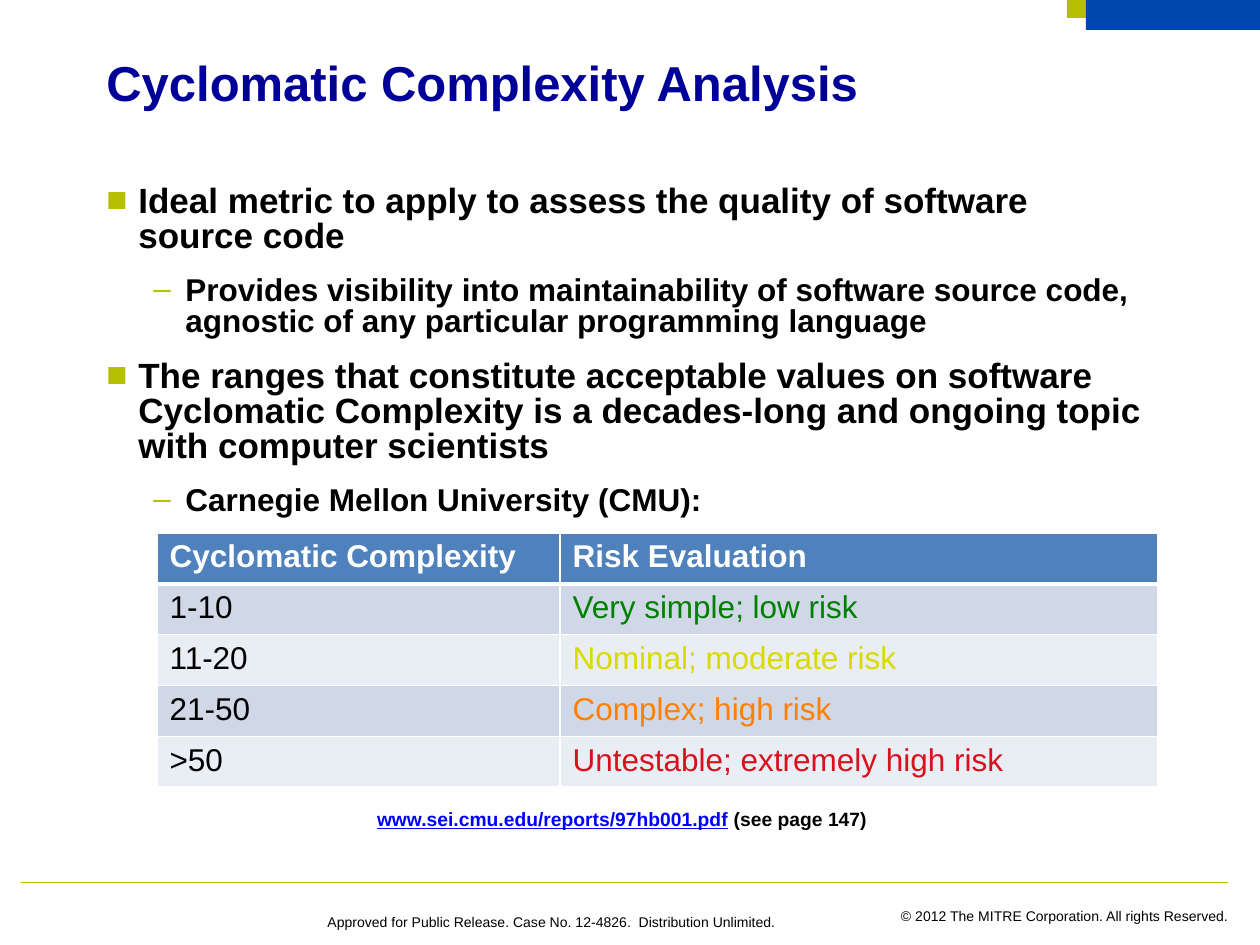
from lxml import etree
from pptx import Presentation
from pptx import util as u
from pptx.dml.color import RGBColor
from pptx.enum import shapes, text
from pptx.oxml import ns

SCALE = 914400 / 126
LIME, BLACK, WHITE = "B6BF00", "000000", "FFFFFF"


def color(value):
    return RGBColor.from_string(value)


def write(paragraph, words, rgb, **formats):
    run = paragraph.add_run()
    run.text = words
    run.font.name = "Arial"
    run.font.color.rgb = color(rgb)
    for name, value in formats.items():
        setattr(run.font, name, value)


presentation = Presentation()
presentation.slide_width = round(1260 * SCALE)
presentation.slide_height = round(945 * SCALE)
slide = presentation.slides.add_slide(presentation.slide_layouts[6])

for left, width, height, fill in [(1067, 193, 18, LIME), (1086, 174, 30, "0046AD")]:
    shape = slide.shapes.add_shape(
        shapes.MSO_SHAPE.RECTANGLE, *[round(n * SCALE) for n in (left, 0, width, height)])
    shape.shadow.inherit = False
    shape.fill.solid()
    shape.fill.fore_color.rgb = color(fill)
    shape.line.fill.background()

rule = slide.shapes.add_connector(
    shapes.MSO_CONNECTOR.STRAIGHT, *[round(n * SCALE) for n in (21, 882, 1228, 882)])
rule.line.color.rgb = color(LIME)
rule.line.width = u.Pt(0.5)
etree.SubElement(rule.element.spPr, ns.qn("a:effectLst"))

frames = {}
for name, box, wrap in [
    ("copyright", (883, 901, 358, 30), False),
    ("release", (315, 901, 486, 35), True),
    ("title", (94, 53, 987, 73), True),
    ("body", (94, 179, 1061, 663), True),
    ("link", (363, 780, 518, 53), False),
]:
    textbox = slide.shapes.add_textbox(*[round(n * SCALE) for n in box])
    frames[name] = textbox.text_frame
    frames[name].word_wrap = wrap

LEFT, RIGHT, CENTER = text.PP_ALIGN.LEFT, text.PP_ALIGN.RIGHT, text.PP_ALIGN.CENTER
LINK = dict(size=u.Pt(11), bold=True)
for name, align, spacing, runs in [
    ("copyright", RIGHT, None,
     [("© 2012 The MITRE Corporation. All rights Reserved.", BLACK, dict(size=u.Pt(8)))]),
    ("release", LEFT, u.Pt(13),
     [("Approved for Public Release. Case No. 12-4826.  Distribution Unlimited.",
       BLACK, dict(size=u.Pt(8)))]),
    ("title", LEFT, u.Pt(30),
     [("Cyclomatic Complexity Analysis", "000099", dict(size=u.Pt(28), bold=True))]),
    ("link", CENTER, u.Pt(25),
     [("www.sei.cmu.edu/reports/97hb001.pdf", "0000FF", dict(LINK, underline=True)),
      (" (see page 147)", BLACK, LINK)]),
]:
    paragraph = frames[name].paragraphs[0]
    paragraph.alignment = align
    paragraph.line_spacing = spacing
    for words, rgb, formats in runs:
        write(paragraph, words, rgb, **formats)

levels = [dict(bullet="■", size=20, margin=32), dict(bullet="–", size=18, margin=79)]
points = [
    (0, "Ideal metric to apply to assess the quality of software source code"),
    (1, "Provides visibility into maintainability of software source code, "
        "agnostic of any particular programming language"),
    (0, "The ranges that constitute acceptable values on software Cyclomatic Complexity "
        "is a decades-long and ongoing topic with computer scientists"),
    (1, "Carnegie Mellon University (CMU):"),
]
for index, (level, words) in enumerate(points):
    body = frames["body"]
    paragraph = body.add_paragraph() if index else body.paragraphs[0]
    style = levels[level]
    paragraph.level = level
    properties = paragraph._p.get_or_add_pPr()
    properties.set("marL", str(round(style["margin"] * SCALE)))
    properties.set("indent", str(round(-32 * SCALE)))
    bullet_color = etree.SubElement(properties, ns.qn("a:buClr"))
    etree.SubElement(bullet_color, ns.qn("a:srgbClr"), val=LIME)
    etree.SubElement(properties, ns.qn("a:buFont"), typeface="Arial")
    etree.SubElement(properties, ns.qn("a:buChar"), char=style["bullet"])
    paragraph.line_spacing = u.Pt(style["size"])
    paragraph.space_after = u.Pt(12)
    write(paragraph, words, BLACK, size=u.Pt(style["size"]), bold=True)

rows = [
    ("Cyclomatic Complexity", "Risk Evaluation", WHITE),
    ("1-10", "Very simple; low risk", "008000"),
    ("11-20", "Nominal; moderate risk", "D9DA01"),
    ("21-50", "Complex; high risk", "FF8000"),
    (">50", "Untestable; extremely high risk", "DA111C"),
]
table = slide.shapes.add_table(
    len(rows), 2, *[round(n * SCALE) for n in (157, 533, 1001, 253)]).table
for column, width in zip(table.columns, (403, 598)):
    column.width = round(width * SCALE)
for index, (complexity, risk, risk_color) in enumerate(rows):
    header = index == 0
    table.rows[index].height = round((51 if index in (0, 2, 3) else 50) * SCALE)
    fill = "4F81BD" if header else ("E9EDF4", "D0D8E8")[index % 2]
    for column, words in enumerate((complexity, risk)):
        cell = table.cell(index, column)
        properties = cell._tc.get_or_add_tcPr()
        for side in "LRTB":
            thick = (index, side) in [(0, "B"), (1, "T")]
            border = etree.SubElement(
                properties, ns.qn("a:ln" + side), w=str(u.Pt(3 if thick else 1)))
            solid = etree.SubElement(border, ns.qn("a:solidFill"))
            etree.SubElement(solid, ns.qn("a:srgbClr"), val=WHITE)
        cell.fill.solid()
        cell.fill.fore_color.rgb = color(fill)
        rgb = risk_color if header or column else BLACK
        write(cell.text_frame.paragraphs[0], words, rgb, size=u.Pt(18), bold=header)

presentation.save("out.pptx")
